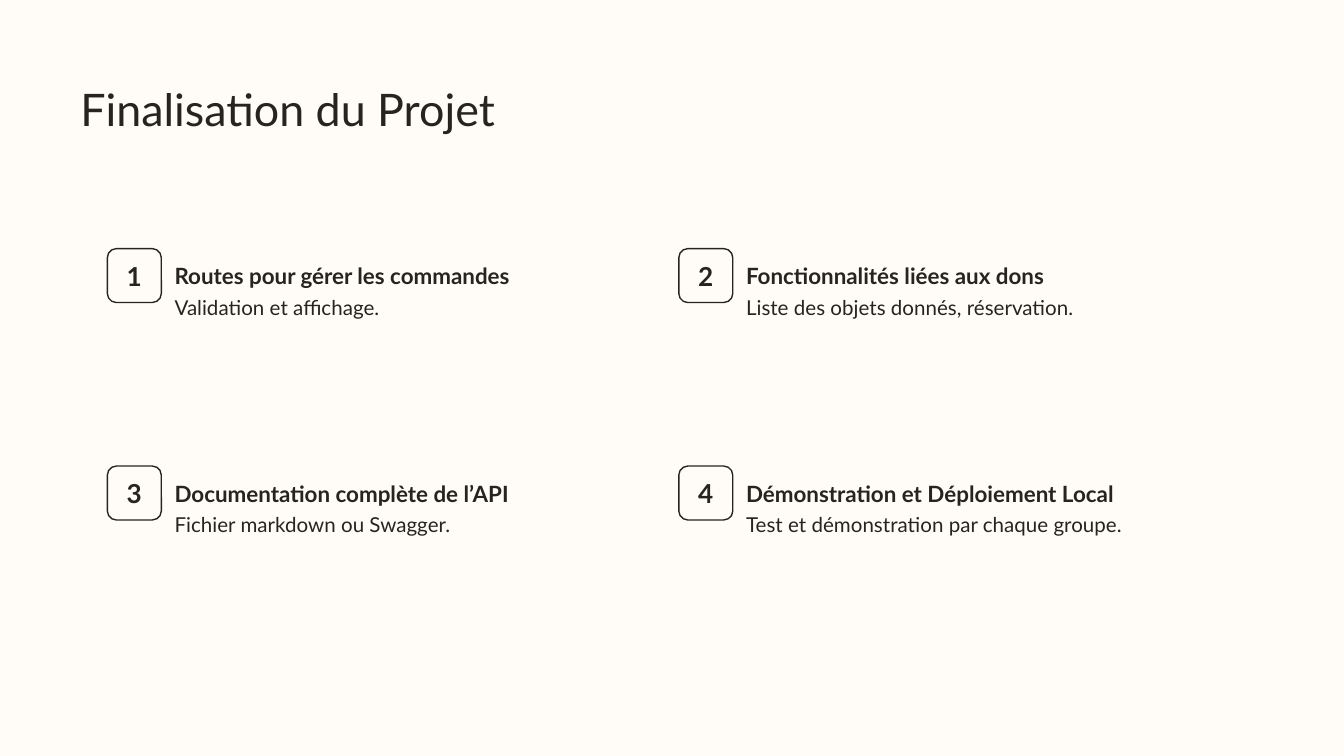
from pptx import Presentation, util as u
from pptx.dml.color import RGBColor
from pptx.enum import shapes, text

INK = RGBColor(0x27, 0x24, 0x20)
CREAM = RGBColor(0xFF, 0xFC, 0xF7)

STEPS = [
    ("Routes pour gérer les commandes", "Validation et affichage."),
    ("Fonctionnalités liées aux dons", "Liste des objets donnés, réservation."),
    ("Documentation complète de l’API", "Fichier markdown ou Swagger."),
    ("Démonstration et Déploiement Local", "Test et démonstration par chaque groupe."),
]
GRID_LEFT, GRID_TOP = 2.03, 4.7
COLUMN_STEP, ROW_STEP = 10.8, 4.11
BADGE_SIZE = 1.02
TEXT_WIDTH = 9.53


class SlideBuilder:
    font_name = "Lato"
    inset = u.Cm(0.25)

    def __init__(self, presentation):
        self.slide = presentation.slides.add_slide(presentation.slide_layouts[6])
        background = self.slide.background.fill
        background.solid()
        background.fore_color.rgb = CREAM

    def fill_text(self, shape, content, size, bold, anchor, alignment):
        frame = shape.text_frame
        frame.word_wrap = True
        frame.vertical_anchor = anchor
        frame.margin_left = frame.margin_right = self.inset
        frame.margin_top = frame.margin_bottom = self.inset
        paragraph = frame.paragraphs[0]
        paragraph.alignment = alignment
        run = paragraph.add_run()
        run.text = content
        run.font.name = self.font_name
        run.font.size = u.Pt(size)
        run.font.bold = bold
        run.font.color.rgb = INK

    def text_box(self, content, left, top, width, height, size,
                 bold=False, anchor=text.MSO_ANCHOR.TOP):
        shape = self.slide.shapes.add_textbox(
            u.Cm(left), u.Cm(top), u.Cm(width), u.Cm(height))
        self.fill_text(shape, content, size, bold, anchor, text.PP_ALIGN.LEFT)

    def badge(self, number, left, top):
        shape = self.slide.shapes.add_shape(
            shapes.MSO_SHAPE.ROUNDED_RECTANGLE,
            u.Cm(left), u.Cm(top), u.Cm(BADGE_SIZE), u.Cm(BADGE_SIZE))
        shape.shadow.inherit = False
        shape.fill.background()
        shape.line.color.rgb = INK
        shape.line.width = u.Pt(0.75)
        self.fill_text(shape, str(number), 14, True,
                       text.MSO_ANCHOR.MIDDLE, text.PP_ALIGN.CENTER)

    def step(self, number, heading, detail, left, top):
        text_left = left + BADGE_SIZE
        self.text_box(heading, text_left, top - 0.68, TEXT_WIDTH, 1.7, 12,
                      bold=True, anchor=text.MSO_ANCHOR.BOTTOM)
        self.text_box(detail, text_left, top + 0.64, TEXT_WIDTH, 2.79, 11)
        self.badge(number, left, top)


def main():
    presentation = Presentation()
    presentation.slide_width = u.Cm(25.4)
    presentation.slide_height = u.Cm(14.29)
    builder = SlideBuilder(presentation)
    builder.text_box("Finalisation du Projet", 1.27, 1.27, 22.86, 1.55, 24,
                     anchor=text.MSO_ANCHOR.BOTTOM)
    for index, (heading, detail) in enumerate(STEPS):
        row, column = divmod(index, 2)
        builder.step(index + 1, heading, detail,
                     GRID_LEFT + column * COLUMN_STEP, GRID_TOP + row * ROW_STEP)
    presentation.save("out.pptx")


if __name__ == "__main__":
    main()
